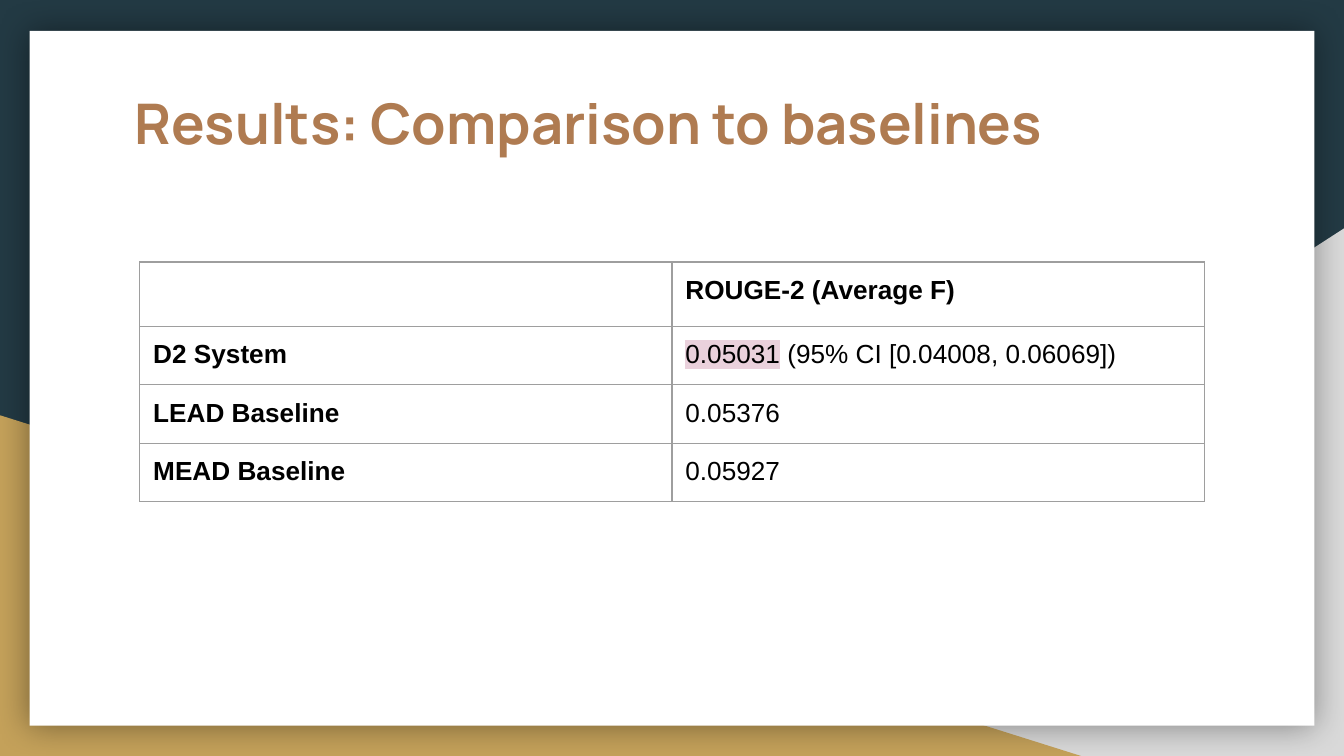
"""Build a slide that compares system results with the baselines in a table."""
from lxml.etree import SubElement
from pptx import Presentation
from pptx.dml.color import RGBColor
from pptx.enum.shapes import MSO_SHAPE as SHAPE
from pptx.oxml import parse_xml
from pptx.oxml.ns import nsdecls, qn
from pptx.util import Inches, Pt


def rgb(color):
    return RGBColor.from_string(color)


def add_text(tf, text, size=14, font="Arial", color="000000", bold=False, highlight=None):
    tf.word_wrap = True
    r = tf.paragraphs[0].add_run()
    r.text = text
    r.font.size, r.font.name, r.font.bold = Pt(size), font, bold
    r.font.color.rgb = rgb(color)
    if highlight:
        mark = parse_xml(f'<a:highlight {nsdecls("a")}><a:srgbClr val="{highlight}"/></a:highlight>')
        r.font._element.find(qn("a:solidFill")).addnext(mark)


prs = Presentation()
prs.slide_width = Inches(10)
prs.slide_height = prs.slide_width * 9 // 16
slide = prs.slides.add_slide(prs.slide_layouts[6])
slide.background.fill.solid()
slide.background.fill.fore_color.rgb = rgb("233A44")

for kind, x, y, w, h, color, flip in (
    (SHAPE.RIGHT_TRIANGLE, 3.92, 1.7, 6.08, 3.93, "D9D9D9", True),
    (SHAPE.RIGHT_TRIANGLE, 0, 3.09, 8.06, 2.54, "C4A15A", False),
    (SHAPE.RECTANGLE, 0.22, 0.23, 9.56, 5.17, "FFFFFF", False),
):
    s = slide.shapes.add_shape(kind, Inches(x), Inches(y), Inches(w), Inches(h))
    s.shadow.inherit = False
    s.fill.solid()
    s.fill.fore_color.rgb = rgb(color)
    s.line.fill.background()
    if flip:
        s._element.spPr.find(qn("a:xfrm")).set("flipH", "1")

card = s
effects = card._element.spPr.find(qn("a:effectLst"))
shadow = SubElement(effects, qn("a:outerShdw"), blurRad=str(Pt(18)), dist="0", dir="0",
                    algn="ctr", rotWithShape="0")
tint = SubElement(shadow, qn("a:srgbClr"), val="000000")
SubElement(tint, qn("a:alpha"), val="40000")

title = slide.shapes.add_textbox(Inches(0.9), Inches(0.56), Inches(8.21), Inches(1.04))
tf = title.text_frame
tf.margin_left = tf.margin_right = tf.margin_top = tf.margin_bottom = Inches(0.1)
add_text(tf, "Results: Comparison to baselines", size=30, font="Manrope", color="AF7B51", bold=True)

rows = (
    ("", "ROUGE-2 (Average F)"),
    ("D2 System", "0.05031"),
    ("LEAD Baseline", "0.05376"),
    ("MEAD Baseline", "0.05927"),
)
table = slide.shapes.add_table(len(rows), 2, Inches(1.04), Inches(1.95), Inches(7.92), Inches(1.74)).table
table.first_row = table.horz_banding = False
for i, row in enumerate(rows):
    table.rows[i].height = Inches(0.42 if i else 0.48)
    for j, text in enumerate(row):
        cell = table.cell(i, j)
        cell.margin_left = cell.margin_right = cell.margin_top = cell.margin_bottom = Inches(0.1)
        cell.fill.background()
        for k, side in enumerate(("lnL", "lnR", "lnT", "lnB")):
            border = parse_xml(
                f'<a:{side} {nsdecls("a")} w="{Pt(0.75)}"><a:solidFill>'
                f'<a:srgbClr val="9E9E9E"/></a:solidFill></a:{side}>')
            cell._tc.tcPr.insert(k, border)
        if text:
            add_text(cell.text_frame, text, bold=i == 0 or j == 0,
                     highlight="EAD1DC" if (i, j) == (1, 1) else None)
        else:
            SubElement(cell.text_frame.paragraphs[0]._p, qn("a:endParaRPr"), sz="1400")
add_text(table.cell(1, 1).text_frame, " (95% CI [0.04008, 0.06069])")

prs.save("out.pptx")
